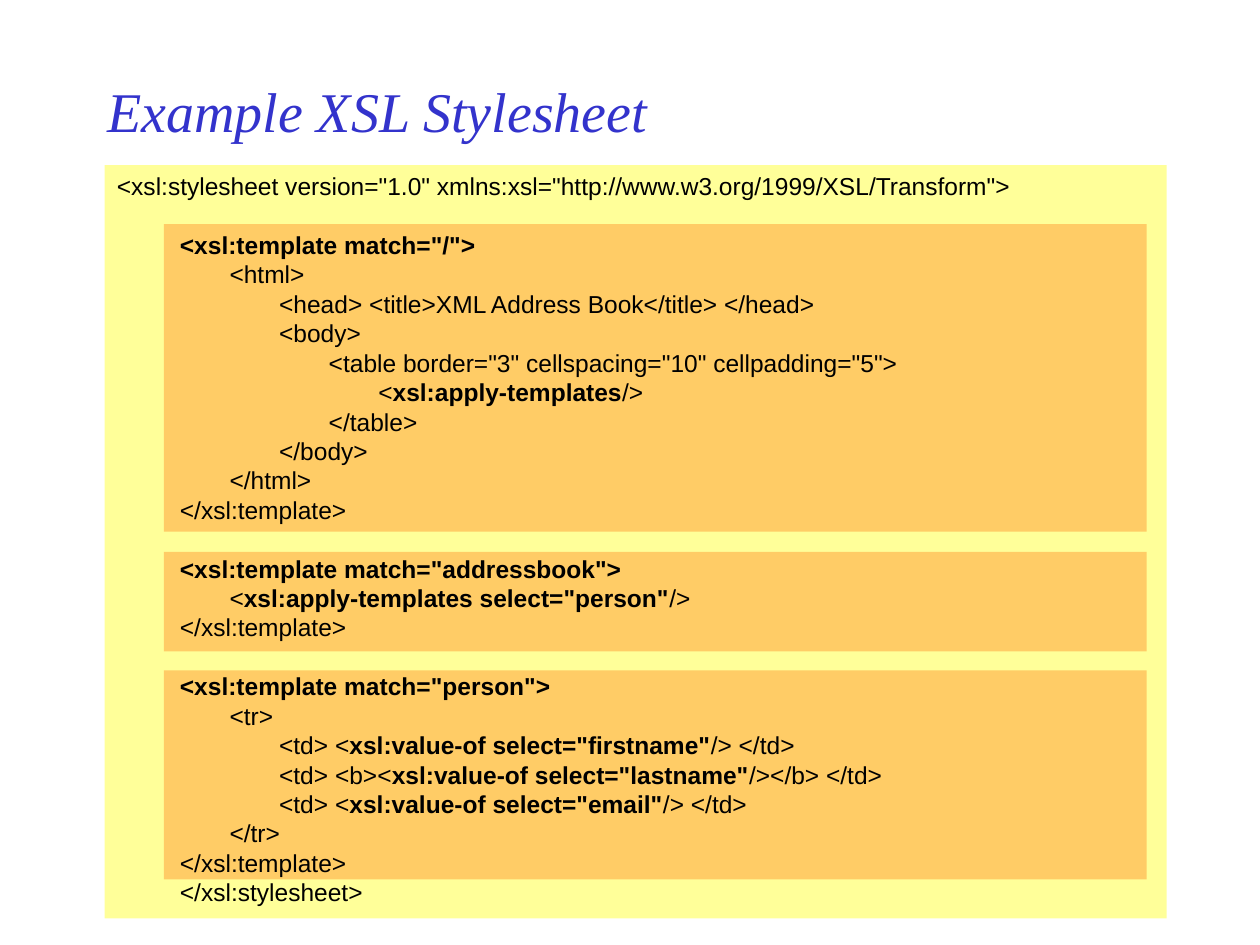
from pptx import Presentation
from pptx import util as u
from pptx.dml.color import RGBColor
from pptx.enum import shapes, text

BLUE = RGBColor(0x33, 0x33, 0xCC)
BLACK = RGBColor(0, 0, 0)
YELLOW = RGBColor(0xFF, 0xFF, 0x99)
ORANGE = RGBColor(0xFF, 0xCC, 0x66)
STEP = u.Cm(1)
INSET = u.Inches(0.5)
PITCH = u.Pt(16.8)

HEAD = '<xsl:stylesheet version="1.0" xmlns:xsl="http://www.w3.org/1999/XSL/Transform">'
FOOT = "</xsl:stylesheet>"
RULES = [
    [
        (0, '*<xsl:template match="/">'),
        (1, "<html>"),
        (2, "<head> <title>XML Address Book</title> </head>"),
        (2, "<body>"),
        (3, '<table border="3" cellspacing="10" cellpadding="5">'),
        (4, "<*xsl:apply-templates*/>"),
        (3, "</table>"),
        (2, "</body>"),
        (1, "</html>"),
        (0, "</xsl:template>"),
    ],
    [
        (0, '*<xsl:template match="addressbook">'),
        (1, '<*xsl:apply-templates select="person"*/>'),
        (0, "</xsl:template>"),
    ],
    [
        (0, '*<xsl:template match="person">'),
        (1, "<tr>"),
        (2, '<td> <*xsl:value-of select="firstname"*/> </td>'),
        (2, '<td> <b><*xsl:value-of select="lastname"*/></b> </td>'),
        (2, '<td> <*xsl:value-of select="email"*/> </td>'),
        (1, "</tr>"),
        (0, "</xsl:template>"),
    ],
]
BANDS = [(0.47, 2.44), (3.07, 0.79), (4.01, 1.66)]


def write(para, words, size=14, face="Arial", color=BLACK, italic=False):
    """Fill a paragraph, switching bold on and off at each asterisk."""
    for i, part in enumerate(words.split("*")):
        if part:
            run = para.add_run()
            run.text = part
            font = run.font
            font.size, font.name = u.Pt(size), face
            font.bold, font.italic = i % 2 == 1, italic
            font.color.rgb = color


def panel(slide, left, top, width, height, color):
    """Draw a flat rectangle."""
    box = slide.shapes.add_shape(
        shapes.MSO_SHAPE.RECTANGLE,
        u.Inches(left), u.Inches(top), u.Inches(width), u.Inches(height))
    box.shadow.inherit = False
    box.fill.solid()
    box.fill.fore_color.rgb = color
    box.line.fill.background()


def heading(slide, left, top, width, height):
    """Place the slide title."""
    title = slide.shapes.title
    title.left, title.top = u.Inches(left), u.Inches(top)
    title.width, title.height = u.Inches(width), u.Inches(height)
    frame = title.text_frame
    frame.auto_size = text.MSO_AUTO_SIZE.NONE
    frame.vertical_anchor = text.MSO_ANCHOR.MIDDLE
    para = frame.paragraphs[0]
    para.alignment = text.PP_ALIGN.LEFT
    write(para, "Example XSL Stylesheet", size=32, face="Times New Roman",
          color=BLUE, italic=True)


def style(para, indent, gap):
    """Set the line pitch, the left indent and the gap above."""
    para.line_spacing = PITCH
    para.space_before = PITCH if gap else u.Pt(0)
    props = para._p.get_or_add_pPr()
    props.set("marL", str(indent))
    props.set("indent", "0")


def listing(slide, left, top, width, height):
    """Lay the code over its coloured panels."""
    panel(slide, left, top, width, height, YELLOW)
    for drop, tall in BANDS:
        panel(slide, left + 0.47, top + drop, 7.8, tall, ORANGE)
    box = slide.shapes.add_textbox(
        u.Inches(left), u.Inches(top), u.Inches(width), u.Inches(height))
    frame = box.text_frame
    frame.word_wrap = True
    lines = [(HEAD, 0, False)]
    for rule in RULES:
        lines += [(line, INSET + depth * STEP, i == 0)
                  for i, (depth, line) in enumerate(rule)]
    lines.append((FOOT, INSET, False))
    for i, (line, indent, gap) in enumerate(lines):
        para = frame.add_paragraph() if i else frame.paragraphs[0]
        style(para, indent, gap)
        write(para, line)


def main():
    """Build and save the slide."""
    deck = Presentation()
    deck.slide_width, deck.slide_height = u.Inches(10), u.Inches(7.5)
    slide = deck.slides.add_slide(deck.slide_layouts[5])
    heading(slide, 0.75, 0.5, 7.5, 0.75)
    listing(slide, 0.83, 1.31, 8.43, 5.98)
    deck.save("out.pptx")


if __name__ == "__main__":
    main()
